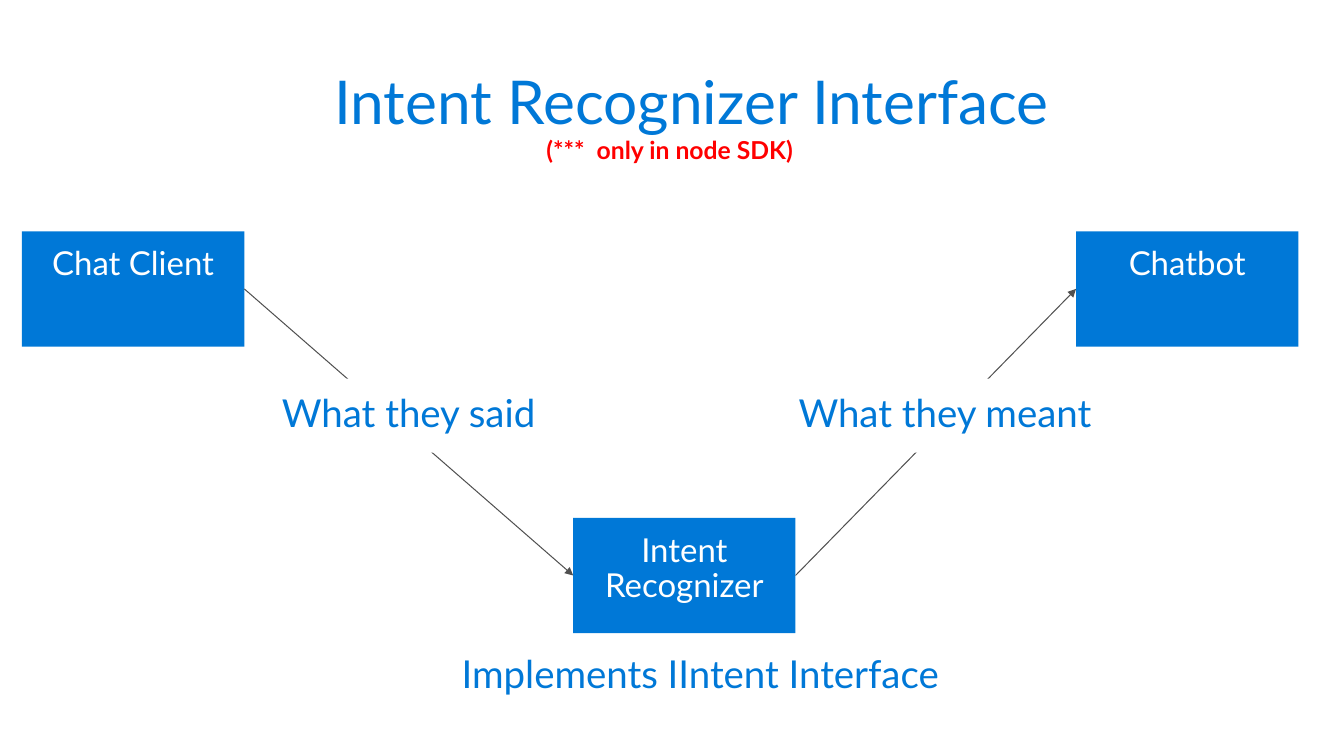
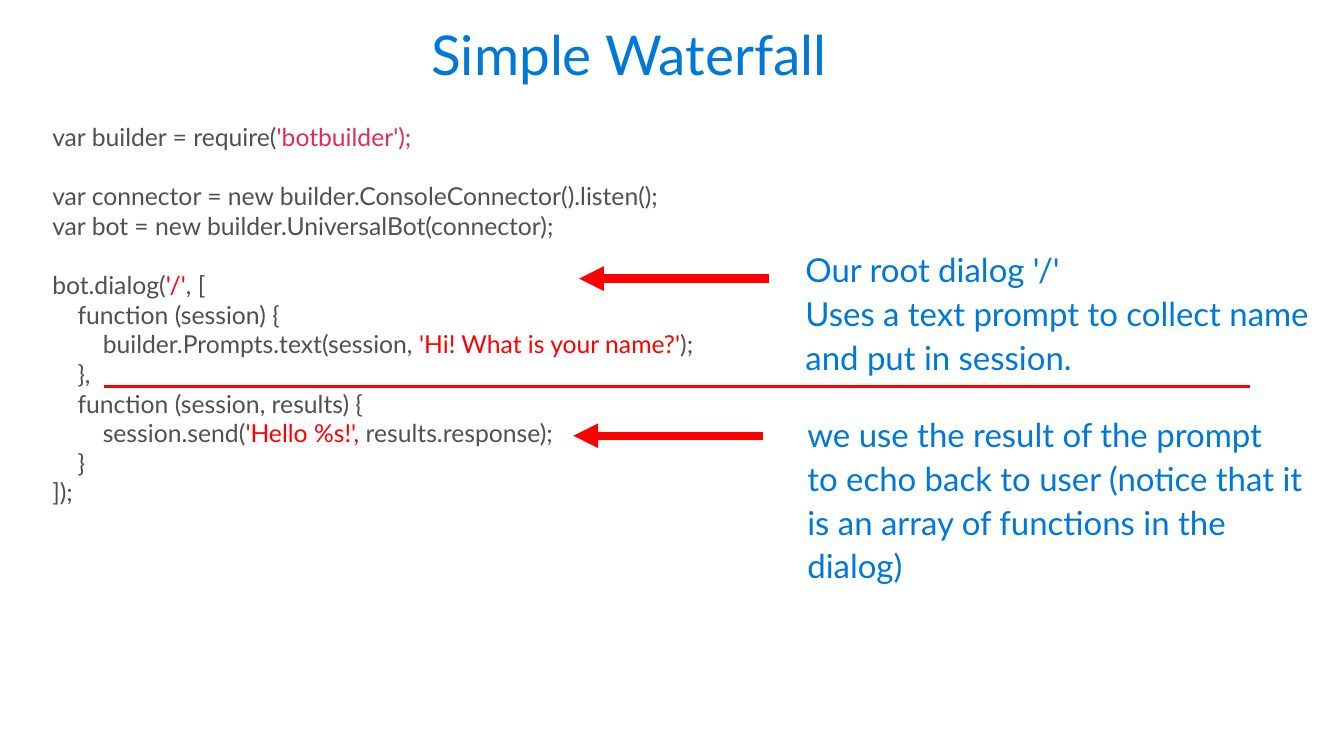
import pptx
import pptx.util
import pptx.dml.color
import pptx.enum.shapes
import pptx.enum.text
import pptx.oxml

Pt = pptx.util.Pt
RGBColor = pptx.dml.color.RGBColor
Align = pptx.enum.text.PP_ALIGN

BLUE = RGBColor(0x00, 0x78, 0xD7)
GREY = RGBColor(0x50, 0x50, 0x50)
RED = RGBColor(0xFF, 0x00, 0x00)
PINK = RGBColor(0xDE, 0x2E, 0x58)
WHITE = RGBColor(0xFF, 0xFF, 0xFF)
FONT = "Lato"
WIDE = (14.4, 11.52)
SLIM = (7.2, 3.6)
NS = 'xmlns:a="http://schemas.openxmlformats.org/drawingml/2006/main"'

# Each line: space before, then (text, colour) runs
CODE = [
    (0, [("var builder = require(", GREY), ("'botbuilder');", PINK)]),
    (21.6, [("var connector = new builder.ConsoleConnector().listen();", GREY)]),
    (0, [("var bot = new builder.UniversalBot(connector);", GREY)]),
    (21.6, [("bot.dialog(", GREY), ("'/'", RED), (", [", GREY)]),
    (0, [("    function (session) {", GREY)]),
    (0, [("        builder.Prompts.text(session, ", GREY),
         ("'Hi! What is your name?'", RED), (");", GREY)]),
    (0, [("    },", GREY)]),
    (0, [("    function (session, results) {", GREY)]),
    (0, [("        session.send(", GREY), ("'Hello %s!', ", RED),
         ("results.response);", GREY)]),
    (0, [("    }", GREY)]),
    (0, [("]);", GREY)]),
]


def style(font, size, color, bold=False):
    font.name, font.size, font.bold = FONT, Pt(size), bold
    font.color.rgb = color


def frame(shape, pad=WIDE, wrap=False):
    """Set the margins, wrapping and top anchor of a text frame."""
    text = shape.text_frame
    text.auto_size = pptx.enum.text.MSO_AUTO_SIZE.NONE
    text.word_wrap = wrap
    text.vertical_anchor = pptx.enum.text.MSO_ANCHOR.TOP
    text.margin_left = text.margin_right = Pt(pad[0])
    text.margin_top = text.margin_bottom = Pt(pad[1])
    return text


def write(shape, words, size, color=BLUE, align=Align.LEFT, after=6, wrap=False):
    text = frame(shape, wrap=wrap)
    text.text = words
    for para in text.paragraphs:
        para.alignment = align
        para.line_spacing = 0.9
        para.space_before, para.space_after = Pt(0), Pt(after)
        for run in para.runs:
            style(run.font, size, color)


def title(slide, words, size, left, top, width, height):
    head = slide.shapes.title
    head.left, head.top = Pt(left), Pt(top)
    head.width, head.height = Pt(width), Pt(height)
    write(head, words, size)


def rect(slide, fill, left, top, width, height):
    shape = slide.shapes.add_shape(
        pptx.enum.shapes.MSO_SHAPE.RECTANGLE,
        Pt(left), Pt(top), Pt(width), Pt(height))
    shape.shadow.inherit = False
    shape.fill.solid()
    shape.fill.fore_color.rgb = fill
    shape.line.fill.background()
    return shape


def textbox(slide, left, top, width, height):
    return slide.shapes.add_textbox(Pt(left), Pt(top), Pt(width), Pt(height))


def line(slide, start, end, color, weight, arrow=True):
    link = slide.shapes.add_connector(
        pptx.enum.shapes.MSO_CONNECTOR.STRAIGHT,
        *(Pt(value) for value in (*start, *end)))
    link.line.color.rgb = color
    link.line.width = Pt(weight)
    if arrow:
        link.line._get_or_add_ln().append(
            pptx.oxml.parse_xml(f'<a:tailEnd {NS} type="triangle"/>'))
    link._element.spPr.append(pptx.oxml.parse_xml(f"<a:effectLst {NS}/>"))
    return link


def node(slide, words, left, top):
    shape = rect(slide, BLUE, left, top, 162, 84)
    write(shape, words, 24, WHITE, Align.CENTER, 0, True)
    return shape


def join(slide, first, last):
    """Draw an arrow from the right side of one node to the left of another."""
    link = line(slide, (0, 0), (1, 1), GREY, 0.75)
    link.begin_connect(first, 3)
    link.end_connect(last, 1)


def flow(slide, left, top, width):
    client = node(slide, "Chat Client", left, top)
    bot = node(slide, "Chatbot", left + width - 162, top)
    mind = node(slide, "Intent\nRecognizer", left + 401.6, top + 208.8)
    join(slide, client, mind)
    join(slide, mind, bot)
    for words, x, y, wide in (("What they said", 175, 107.3, 214.5),
                              ("What they meant", 551.4, 107.3, 244),
                              ("Implements IIntent Interface", 306, 297.4, 381)):
        label = rect(slide, WHITE, left + x, top + y, wide, 54)
        write(label, words, 28)


def remark(slide, words, left, top, width, height):
    text = frame(textbox(slide, left, top, width, height), SLIM)
    text.text = words
    style(text.paragraphs[0].runs[0].font, 18, RED, True)


def code(slide, left, top, width, height):
    text = frame(textbox(slide, left, top, width, height), SLIM, True)
    for index, (gap, parts) in enumerate(CODE):
        para = text.paragraphs[0] if index == 0 else text.add_paragraph()
        para.space_before = Pt(gap)
        for words, color in parts:
            run = para.add_run()
            run.text = words
            style(run.font, 18, color)


def note(slide, words, left, top, width, height, gap, drop):
    """Place a note with an arrow that starts gap left of it and drop below its top."""
    start, level = left - gap, top + drop
    line(slide, (start, level), (start - 138, level), RED, 6)
    write(textbox(slide, left, top, width, height), words, 24)


def main():
    deck = pptx.Presentation()
    deck.slide_width, deck.slide_height = Pt(979.2), Pt(550.8)
    layout = deck.slide_layouts[5]

    intent = deck.slides.add_slide(layout)
    title(intent, "Intent Recognizer Interface", 44, 229, 41, 556, 71)
    flow(intent, 16, 168.5, 930)
    remark(intent, "(***  only in node SDK)", 391, 95, 209.5, 29)

    fall = deck.slides.add_slide(layout)
    title(fall, "Simple Waterfall", 40, 300, 8.6, 320, 67)
    code(fall, 31, 85, 490, 291)
    line(fall, (75.6, 281.5), (911, 281.5), RED, 2.25, False)
    note(fall, "Our root dialog '/'\nUses a text prompt to collect name\n"
         "and put in session.", 572.4, 173.5, 402.5, 114, 12.4, 29.5)
    note(fall, "we use the result of the prompt\nto echo back to user (notice that it\n"
         "is an array of functions in the\ndialog)", 573.8, 293.8, 397, 146, 18, 23.7)
    deck.save("out.pptx")


if __name__ == "__main__":
    main()
